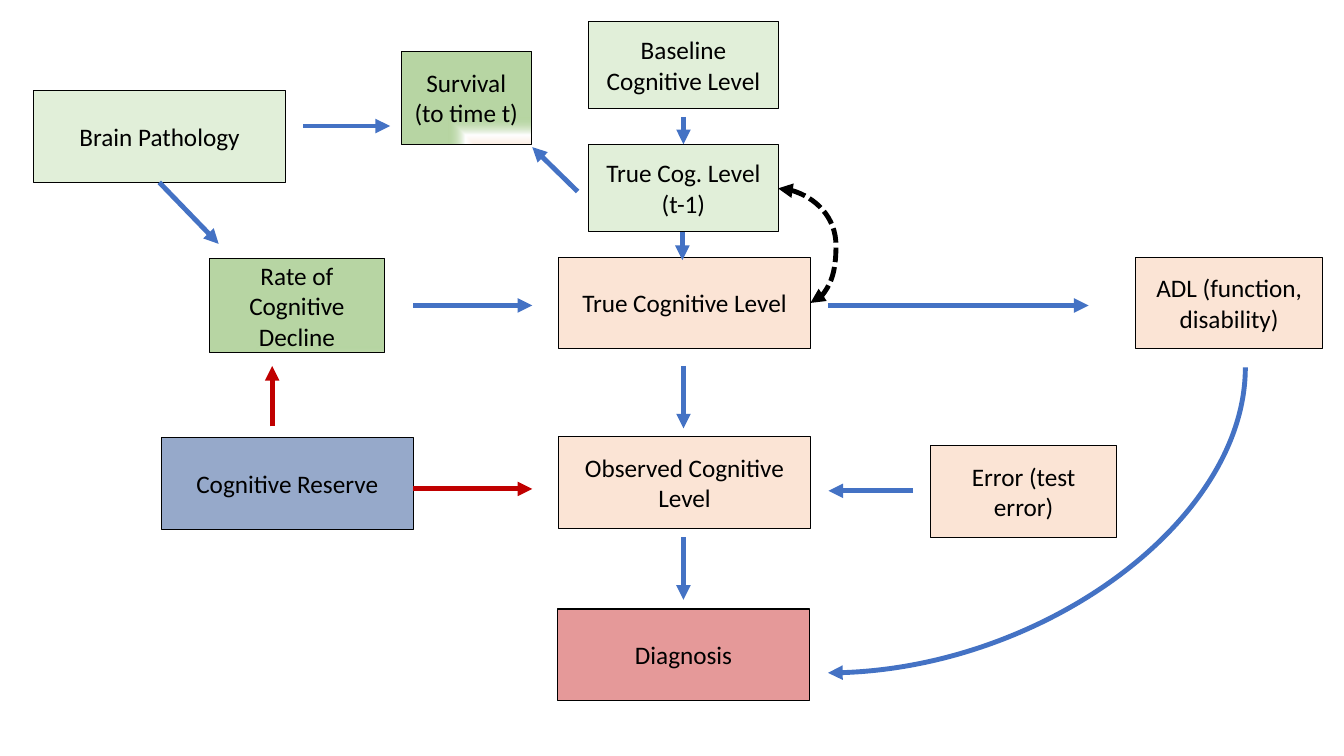
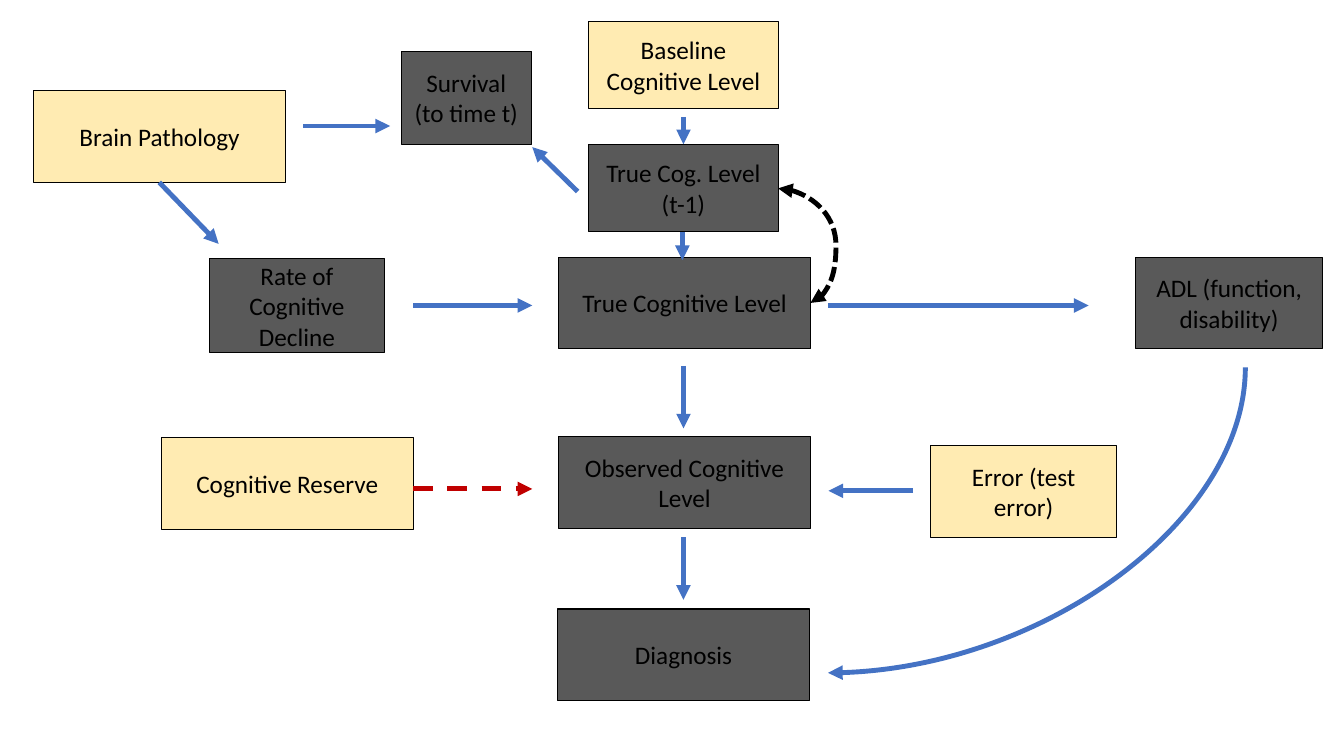
"""Build two views of a cognitive decline model: by domain, and by what is observed."""
from dataclasses import dataclass

from lxml.etree import SubElement
from pptx import Presentation
from pptx.dml.color import RGBColor
from pptx.enum.dml import MSO_LINE
from pptx.enum.shapes import MSO_CONNECTOR, MSO_SHAPE
from pptx.enum.text import MSO_ANCHOR, PP_ALIGN
from pptx.oxml import parse_xml
from pptx.oxml.ns import nsdecls, qn
from pptx.util import Pt


@dataclass(frozen=True)
class Theme:
    font: str = "Calibri"
    text_size: float = 18
    border: float = 0.75
    arrow: float = 3.5
    ink: str = "000000"
    flow: str = "4472C4"
    reserve_effect: str = "C00000"
    green: tuple = ("C5E0B4", 50)
    peach: tuple = ("F8CBAD", 50)
    red: tuple = ("C00000", 40)
    blue: tuple = ("2F5597", 50)
    yellow: tuple = ("FFD966", 50)
    gray: tuple = ("595959", 100)
    blend: tuple = (("F8CBAD", 0, 100), ("FFFFFF", 62, 100), ("70AD47", 100, 50))


theme = Theme()

WIDE, NARROW, TALL = 180, 133.2, 65.5
BOXES = [
    ("Brain Pathology", 24, 64.8, WIDE, TALL, theme.green, theme.yellow),
    ("True Cognitive Level", 399, 183.6, WIDE, TALL, theme.peach, theme.gray),
    ("Observed Cognitive Level", 399, 311.8, WIDE, TALL, theme.peach, theme.gray),
    ("Diagnosis", 398.3, 435, WIDE, TALL, theme.red, theme.gray),
    ("Cognitive Reserve", 115.2, 312.5, WIDE, TALL, theme.blue, theme.yellow),
    ("Error (test error)", 664.6, 318.2, NARROW, TALL, theme.peach, theme.yellow),
    ("ADL (function, disability)", 811.4, 183.6, NARROW, TALL, theme.peach, theme.gray),
    ("Baseline Cognitive Level", 420.5, 15.1, 135.4, 62.6, theme.green, theme.yellow),
    ("True Cog. Level\n(t-1)", 420.5, 103, 135.4, 62.6, theme.green, theme.gray),
    ("Survival\n(to time t)", 286.6, 36.7, 92.9, 66.2, theme.blend, theme.gray),
    ("Rate of Cognitive Decline", 149.8, 185, 124.6, 67, theme.blend, theme.gray),
]

FLOWS = [
    (295.2, 218.2, 380.2, 218.2),
    (488.2, 261.4, 488.2, 306),
    (488.2, 383.8, 488.2, 428.4),
    (652.3, 350.6, 591.8, 350.6),
    (488.2, 83.5, 488.2, 103),
    (412.6, 136.8, 380.2, 105.1),
    (216.7, 90, 278.6, 90),
    (113.8, 130.3, 156.2, 174.2),
    (487.4, 165.6, 487.4, 185.8),
    (591.8, 218.2, 777.6, 218.2),
]
ADL_TO_DIAGNOSIS = (631.4, 222.5, 849.6, 520.6)
LEVEL_FEEDBACK = (555.8, 134.6, 578.9, 216.4)
RESERVE_TO_OBSERVED = (295.2, 349.2, 380.2, 349.2)
RESERVE_TO_RATE = (194.4, 304.6, 194.4, 261.4)


def add_box(page, label, left, top, width, height, fill):
    box = page.shapes.add_shape(MSO_SHAPE.RECTANGLE, Pt(left), Pt(top), Pt(width), Pt(height))
    box.shadow.inherit = False
    box.line.color.rgb = RGBColor.from_string(theme.ink)
    box.line.width = Pt(theme.border)
    box.fill.solid()
    solid = box.element.spPr.find(qn("a:solidFill"))
    if fill is theme.blend:
        stops = "".join(
            f'<a:gs pos="{place * 1000}"><a:srgbClr val="{color}">'
            f'<a:alpha val="{opacity * 1000}"/></a:srgbClr></a:gs>'
            for color, place, opacity in fill)
        gradient = parse_xml(
            f'<a:gradFill {nsdecls("a")} rotWithShape="1"><a:gsLst>{stops}</a:gsLst>'
            '<a:path path="rect"><a:fillToRect l="100000" t="100000"/></a:path></a:gradFill>')
        box.element.spPr.replace(solid, gradient)
    else:
        color, opacity = fill
        box.fill.fore_color.rgb = RGBColor.from_string(color)
        if opacity < 100:
            SubElement(solid.find(qn("a:srgbClr")), qn("a:alpha"), val=str(opacity * 1000))
    frame = box.text_frame
    frame.word_wrap = True
    frame.vertical_anchor = MSO_ANCHOR.MIDDLE
    frame.text = label
    for para in frame.paragraphs:
        para.alignment = PP_ALIGN.CENTER
        for span in para.runs:
            span.font.name = theme.font
            span.font.size = Pt(theme.text_size)
            span.font.color.rgb = RGBColor.from_string(theme.ink)


def add_arrow(page, ends, color, kind=MSO_CONNECTOR.STRAIGHT, dash=None, both_heads=False):
    arrow = page.shapes.add_connector(kind, *[Pt(value) for value in ends])
    arrow.line.color.rgb = RGBColor.from_string(color)
    arrow.line.width = Pt(theme.arrow)
    if dash:
        arrow.line.dash_style = dash
    properties = arrow.element.spPr
    outline = properties.find(qn("a:ln"))
    if both_heads:
        SubElement(outline, qn("a:headEnd"), type="triangle")
    SubElement(outline, qn("a:tailEnd"), type="triangle")
    SubElement(properties, qn("a:effectLst"))
    return properties


deck = Presentation()
deck.slide_width, deck.slide_height = Pt(960), Pt(540)

for by_domain in (True, False):
    page = deck.slides.add_slide(deck.slide_layouts[6])
    for *place, domain_fill, observed_fill in BOXES:
        add_box(page, *place, domain_fill if by_domain else observed_fill)
    for ends in FLOWS:
        add_arrow(page, ends, theme.flow)

    sweep = add_arrow(page, ADL_TO_DIAGNOSIS, theme.flow, MSO_CONNECTOR.CURVE)
    sweep.find(qn("a:prstGeom")).set("prst", "curvedConnector2")
    sweep.find(qn("a:xfrm")).set("rot", str(90 * 60000))

    feedback = add_arrow(page, LEVEL_FEEDBACK, theme.ink, MSO_CONNECTOR.CURVE,
                         MSO_LINE.SQUARE_DOT, both_heads=True)
    bulge = feedback.find(qn("a:prstGeom")).find(qn("a:avLst"))
    SubElement(bulge, qn("a:gd"), name="adj1", fmla="val 179100")

    add_arrow(page, RESERVE_TO_OBSERVED, theme.reserve_effect,
              dash=None if by_domain else MSO_LINE.DASH)
    if by_domain:
        add_arrow(page, RESERVE_TO_RATE, theme.reserve_effect)

deck.save("out.pptx")
